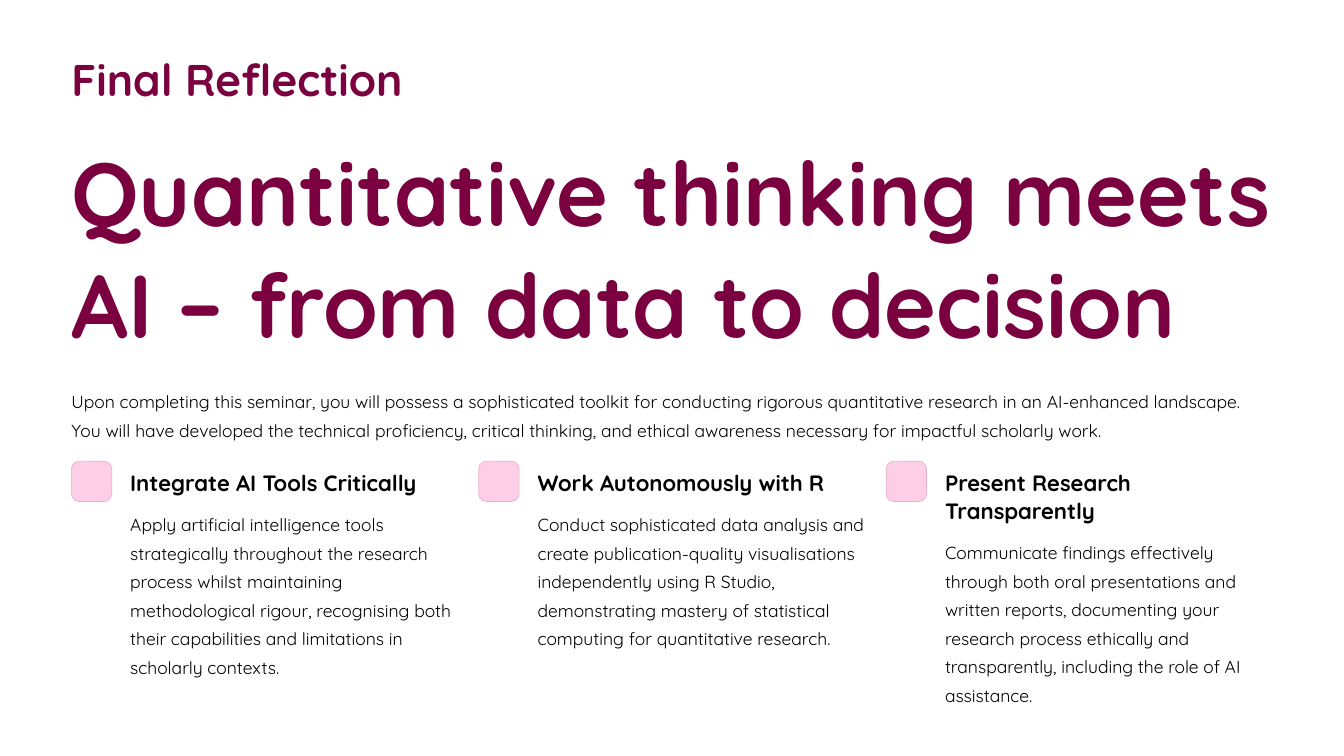
from dataclasses import dataclass

from pptx import Presentation
from pptx.dml.color import RGBColor
from pptx.enum.shapes import MSO_SHAPE
from pptx.slide import Slide
from pptx.util import Inches, Pt

WHITE = RGBColor(0xFF, 0xFF, 0xFF)
BLACK = RGBColor(0x00, 0x00, 0x00)
PLUM = RGBColor(0x7A, 0x00, 0x3F)
PINK = RGBColor(0xFE, 0xCD, 0xE6)
ROSE = RGBColor(0xE4, 0xB3, 0xCC)
FONT = "Quicksand"

LEFT = 0.85
WIDTH = 14.29
PITCH = 4.85
INDENT = 0.7
TEXT_WIDTH = 3.89


@dataclass(frozen=True)
class Style:
    size: float
    leading: float
    color: RGBColor
    bold: bool


@dataclass(frozen=True)
class Goal:
    title: str
    body: str
    lines: int = 1


KICKER = Style(38, 48, PLUM, True)
TITLE = Style(76.5, 96, PLUM, True)
HEAD = Style(19, 24, BLACK, True)
BODY = Style(15, 24.5, BLACK, False)

GOALS = [
    Goal("Integrate AI Tools Critically",
         "Apply artificial intelligence tools strategically throughout the "
         "research process whilst maintaining methodological rigour, "
         "recognising both their capabilities and limitations in scholarly "
         "contexts."),
    Goal("Work Autonomously with R",
         "Conduct sophisticated data analysis and create publication-quality "
         "visualisations independently using R Studio, demonstrating mastery "
         "of statistical computing for quantitative research."),
    Goal("Present Research Transparently",
         "Communicate findings effectively through both oral presentations "
         "and written reports, documenting your research process ethically "
         "and transparently, including the role of AI assistance.",
         lines=2),
]


def add_text(slide: Slide, text: str, style: Style, left: float, top: float,
             width: float, height: float) -> None:
    box = slide.shapes.add_textbox(
        Inches(left), Inches(top), Inches(width), Inches(height))
    frame = box.text_frame
    frame.word_wrap = True
    frame.margin_left = frame.margin_right = 0
    frame.margin_top = frame.margin_bottom = 0
    para = frame.paragraphs[0]
    para.line_spacing = Pt(style.leading)
    run = para.add_run()
    run.text = text
    run.font.name = FONT
    run.font.size = Pt(style.size)
    run.font.bold = style.bold
    run.font.color.rgb = style.color


def add_badge(slide: Slide, left: float) -> None:
    """Draw the rounded square beside a goal."""
    badge = slide.shapes.add_shape(
        MSO_SHAPE.ROUNDED_RECTANGLE,
        Inches(left), Inches(5.49), Inches(0.48), Inches(0.48))
    badge.adjustments[0] = 0.19
    badge.shadow.inherit = False
    badge.fill.solid()
    badge.fill.fore_color.rgb = PINK
    badge.line.color.rgb = ROSE
    badge.line.width = Pt(0.6)


def add_goal(slide: Slide, goal: Goal, left: float) -> None:
    add_badge(slide, left)
    inner = left + INDENT
    drop = (goal.lines - 1) * HEAD.leading / 72
    add_text(slide, goal.title, HEAD, inner, 5.57, TEXT_WIDTH, 0.33 + drop)
    add_text(slide, goal.body, BODY, inner, 6.03 + drop, TEXT_WIDTH, 2.05)


def main() -> None:
    deck = Presentation()
    deck.slide_width = Inches(16)
    deck.slide_height = Inches(9)
    slide = deck.slides.add_slide(deck.slide_layouts[6])
    slide.background.fill.solid()
    slide.background.fill.fore_color.rgb = WHITE

    add_text(slide, "Final Reflection", KICKER, LEFT, 0.59, 5.34, 0.67)
    add_text(slide, "Quantitative thinking meets AI – from data to decision",
             TITLE, LEFT, 1.58, WIDTH, 2.67)
    add_text(slide,
             "Upon completing this seminar, you will possess a sophisticated "
             "toolkit for conducting rigorous quantitative research in an "
             "AI-enhanced landscape. You will have developed the technical "
             "proficiency, critical thinking, and ethical awareness necessary "
             "for impactful scholarly work.",
             BODY, LEFT, 4.57, WIDTH, 0.68)
    for col, goal in enumerate(GOALS):
        add_goal(slide, goal, LEFT + col * PITCH)
    deck.save("out.pptx")


if __name__ == "__main__":
    main()
